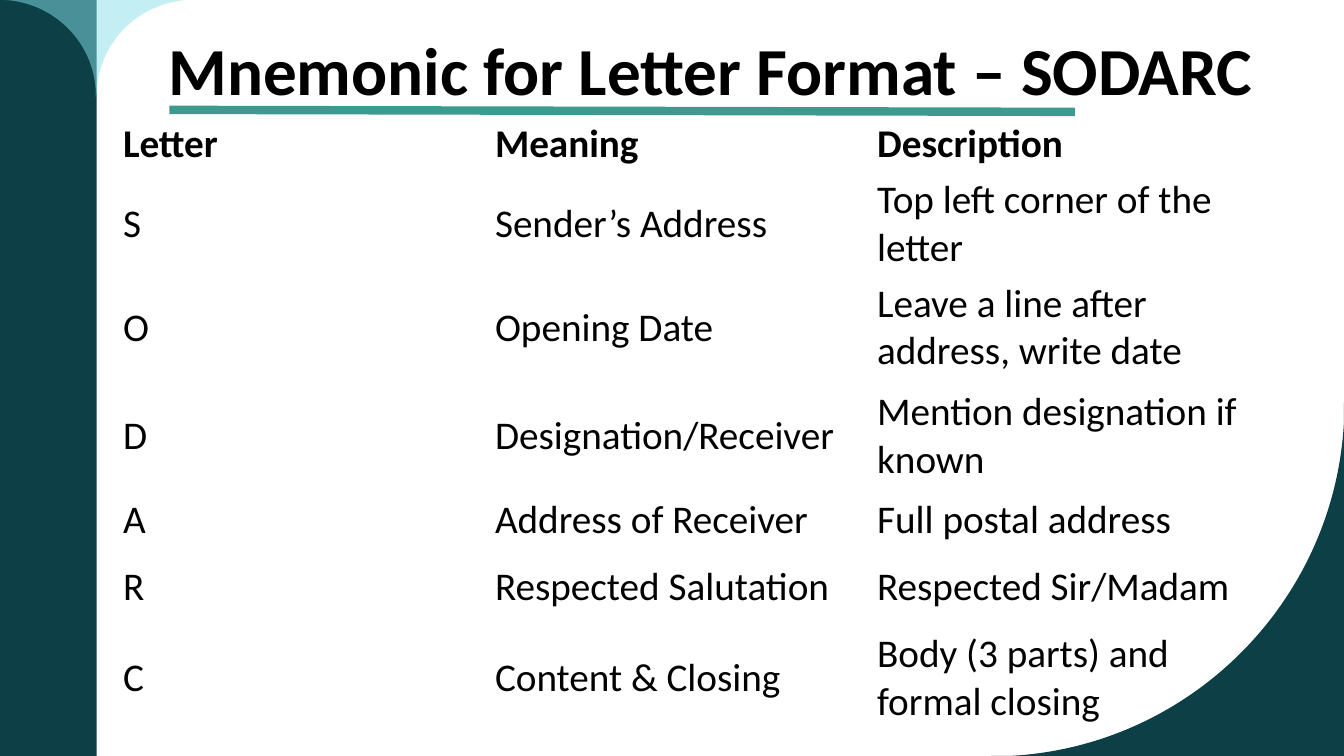
from lxml.etree import SubElement
from pptx import Presentation
from pptx.dml.color import RGBColor
from pptx.enum.shapes import MSO_CONNECTOR, MSO_SHAPE
from pptx.enum.text import MSO_ANCHOR, PP_ALIGN
from pptx.oxml.ns import qn
from pptx.util import Inches, Pt

COLORS = {
    "dark": "0C4046",
    "light": "89E1EB",
    "underline": "3C9A8F",
    "text": "000000",
}
FONT = "Calibri"
PLAIN_TABLE_STYLE = "{2D5ABB26-0587-4C30-8999-92F81FD0307C}"
CELL_MARGIN = 0.04
COLUMN_WIDTHS = [3.69, 3.79, 3.79]
ROW_HEIGHTS = [0.55, 1, 1, 1.12, 0.55, 0.77, 1]
ROWS = [
    ("Letter", "Meaning", "Description"),
    ("S", "Sender’s Address", "Top left corner of the letter"),
    ("O", "Opening Date", "Leave a line after address, write date"),
    ("D", "Designation/Receiver", "Mention designation if known"),
    ("A", "Address of Receiver", "Full postal address"),
    ("R", "Respected Salutation", "Respected Sir/Madam"),
    ("C", "Content & Closing", "Body (3 parts) and formal closing"),
]


def color(name):
    return RGBColor.from_string(COLORS[name])


def format_text(paragraph, size, bold):
    paragraph.alignment = PP_ALIGN.LEFT
    for run in paragraph.runs:
        run.font.name = FONT
        run.font.size = Pt(size)
        run.font.bold = bold
        run.font.color.rgb = color("text")


def paint(shape, fill):
    shape.shadow.inherit = False
    shape.fill.solid()
    shape.fill.fore_color.rgb = color(fill)
    shape.line.fill.background()


def add_outline(slide, left, top, start, segments, fill):
    def place(point):
        return Inches(left + point[0]), Inches(top + point[1])

    builder = slide.shapes.build_freeform(*place(start))
    builder.add_line_segments([place(point) for segment in segments for point in segment])
    shape = builder.convert_to_shape()
    lines = iter(list(shape._element.iter(qn("a:lnTo"))))
    for segment in segments:
        line = next(lines)
        if len(segment) == 3:
            line.addprevious(curve := line.makeelement(qn("a:cubicBezTo")))
            for handle in (line, next(lines), next(lines)):
                curve.append(handle[0])
                handle.getparent().remove(handle)
    paint(shape, fill)
    return shape


def add_side_band(slide, left, top, width, height):
    band = slide.shapes.add_shape(
        MSO_SHAPE.RECTANGLE, Inches(left), Inches(top), Inches(width), Inches(height)
    )
    paint(band, "dark")


def add_top_flare(slide, left, top):
    segments = [
        [(1.86, 0)],
        [(1.37, 0.03), (0.98, 0.42), (0.96, 0.91)],
        [(0.95, 0.96)],
        [(0.95, 0.91)],
        [(0.93, 0.42), (0.54, 0.03), (0.05, 0)],
        [(0, 0)],
        [(0.95, 0)],
        [(1.91, 0)],
    ]
    flare = add_outline(slide, left, top, (1.91, 0), segments, "light")
    fill_color = flare._element.spPr.find(qn("a:solidFill"))[0]
    SubElement(fill_color, qn("a:alpha")).set("val", "50000")


def add_bottom_corner(slide, left, top):
    segments = [
        [(3.5, 3.5)],
        [(0, 3.5)],
        [(0.18, 3.5)],
        [(1.97, 3.41), (3.41, 1.97), (3.5, 0.18)],
        [(3.5, 0)],
    ]
    add_outline(slide, left, top, (3.5, 0), segments, "dark")


def add_title(slide, left, top, width, height):
    title = slide.shapes.title
    title.left, title.top = Inches(left), Inches(top)
    title.width, title.height = Inches(width), Inches(height)
    frame = title.text_frame
    frame.text = "Mnemonic for Letter Format – SODARC"
    frame.word_wrap = True
    frame.vertical_anchor = MSO_ANCHOR.TOP
    format_text(frame.paragraphs[0], 48, True)

    underline = slide.shapes.add_connector(
        MSO_CONNECTOR.STRAIGHT,
        Inches(left + 0.11), Inches(top + 0.86),
        Inches(left + 9.09), Inches(top + 0.88),
    )
    underline.line.color.rgb = color("underline")
    underline.line.width = Pt(6)
    SubElement(underline._element.spPr, qn("a:effectLst"))


def add_letter_table(slide, left, top, width, height):
    table = slide.shapes.add_table(
        len(ROWS), len(COLUMN_WIDTHS), Inches(left), Inches(top), Inches(width), Inches(height)
    ).table
    table.first_row = False
    table.horz_banding = False
    table._tbl.tblPr.find(qn("a:tableStyleId")).text = PLAIN_TABLE_STYLE
    for column, column_width in zip(table.columns, COLUMN_WIDTHS):
        column.width = Inches(column_width)
    for row_index, (row, row_height) in enumerate(zip(table.rows, ROW_HEIGHTS)):
        row.height = Inches(row_height)
        for cell, text in zip(row.cells, ROWS[row_index]):
            cell.fill.background()
            cell.vertical_anchor = MSO_ANCHOR.MIDDLE
            cell.margin_top = cell.margin_bottom = Inches(CELL_MARGIN)
            cell.text_frame.text = text
            format_text(cell.text_frame.paragraphs[0], 28, row_index == 0)


def main():
    presentation = Presentation()
    presentation.slide_width = Inches(13.33)
    presentation.slide_height = Inches(7.5)
    slide = presentation.slides.add_slide(presentation.slide_layouts[5])
    add_side_band(slide, 0, 0, 0.96, 7.5)
    add_top_flare(slide, 0, 0)
    add_bottom_corner(slide, 9.83, 4)
    add_title(slide, 1.57, 0.23, 11.47, 2.26)
    add_letter_table(slide, 1.12, 1.15, 11.27, 6.12)
    presentation.save("out.pptx")


if __name__ == "__main__":
    main()
